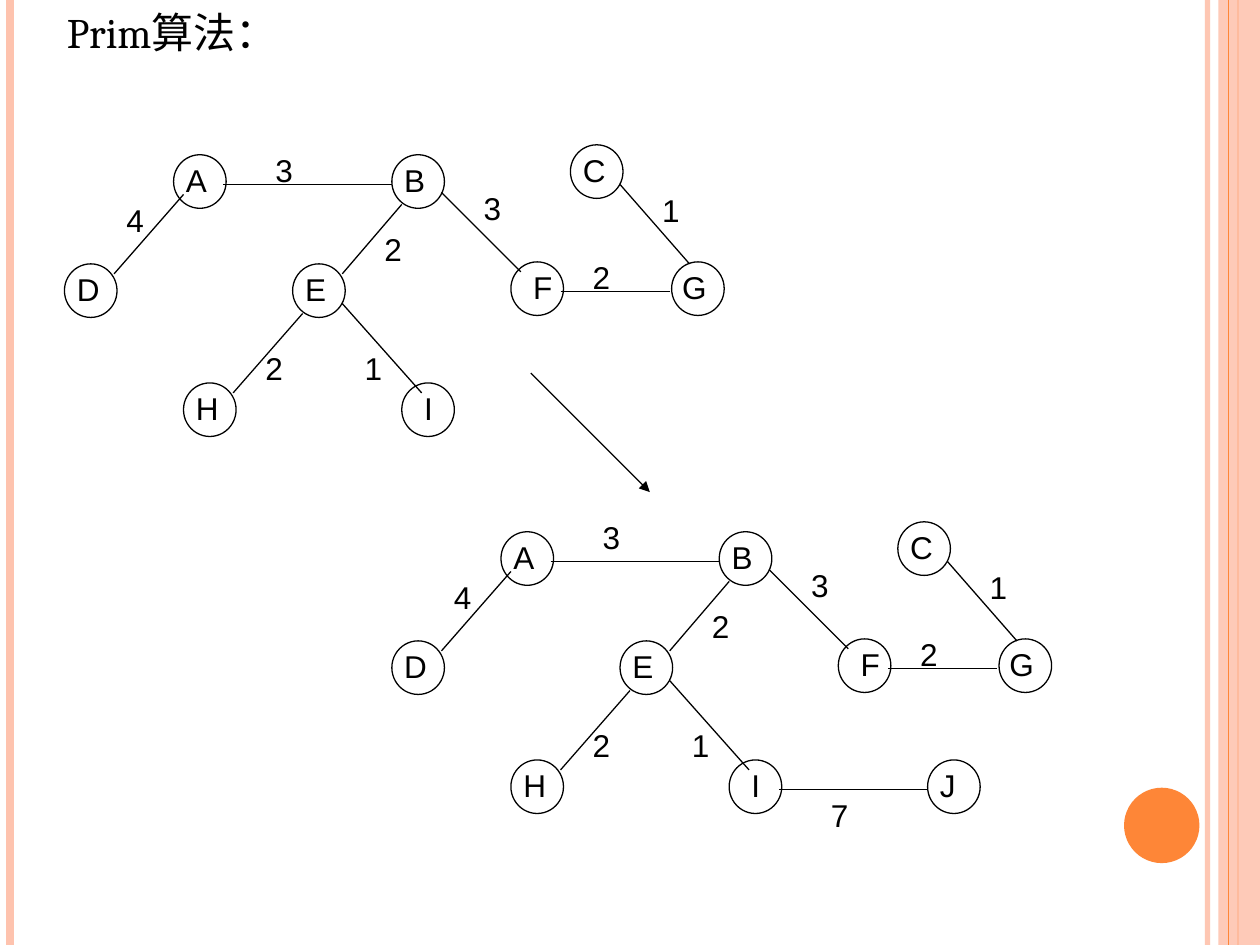
from lxml.etree import SubElement
from pptx import Presentation
from pptx.dml.color import RGBColor
from pptx.enum.shapes import MSO_CONNECTOR, MSO_SHAPE
from pptx.enum.text import MSO_ANCHOR, MSO_AUTO_SIZE, PP_ALIGN
from pptx.oxml.ns import qn
from pptx.util import Cm, Inches, Pt

BLACK = RGBColor(0x00, 0x00, 0x00)
PEACH = RGBColor(0xFE, 0xC3, 0xAE)
ORANGE = RGBColor(0xFE, 0x86, 0x37)

CELL = Cm(0.2)  # the slide is 127 cells wide
WIDTH, HEIGHT = Inches(10), Inches(7.5)
NODE_SIZE = (5.3, 5.4)
LABEL_HEIGHT = 5.1

# letter: column, row, shift of the letter, width of its box
NODES = {
    "A": (11, 1, 0, 7),
    "B": (33, 1, 0, 7),
    "C": (51, 0, 0, 7),
    "D": (0, 12, 0, 6),
    "E": (23, 12, 0, 8),
    "F": (45, 11.8, 1, 7),
    "G": (61.2, 11.8, -0.2, 5.4),
    "H": (12, 24, 0, 7),
    "I": (34, 24, 1, 7),
}
# weight: start, end, place of the weight, width of its box
EDGES = [
    ("4", (5, 13), (12, 5), (5, 5), 4),
    ("2", (34, 6), (28, 13), (31, 8), 5),
    ("2", (24, 17), (17, 25), (19, 20), 5),
    ("1", (28, 16), (36, 25), (29, 20), 5),
    ("3", (38, 4.8), (46, 12.8), (41, 3.8), 4),
    ("2", (50, 14.8), (61, 14.8), (52, 10.8), 6),
    ("1", (56, 4), (63, 12), (59, 4), 6),
]
TOP_EDGE = ((16, 4), (33, 4))


def set_alpha(fill, percent):
    color = fill._xPr.find(qn("a:solidFill"))[0]
    SubElement(color, qn("a:alpha"), val=str(percent * 1000))


def write(frame, text, font="Arial", size=18, color=BLACK):
    frame.word_wrap = True
    frame.vertical_anchor = MSO_ANCHOR.TOP
    para = frame.paragraphs[0]
    para.alignment = PP_ALIGN.LEFT
    span = para.add_run()
    span.text = text
    span.font.name = font
    span.font.size = Pt(size)
    span.font.color.rgb = color


class Sketch:
    """Draws on one page, in cells counted from a movable origin."""

    def __init__(self, page):
        self.page = page
        self.move_to(0, 0)

    def move_to(self, column, row, shapes=None):
        self.origin = (column, row)
        self.shapes = shapes or self.page.shapes

    def place(self, column, row):
        return (round((self.origin[0] + column) * CELL),
                round((self.origin[1] + row) * CELL))

    def line(self, start, end, color=BLACK, width=0.75, arrow=False, alpha=None):
        line = self.shapes.add_connector(
            MSO_CONNECTOR.STRAIGHT, *self.place(*start), *self.place(*end))
        line.line.color.rgb = color
        line.line.width = Pt(width)
        if alpha:
            set_alpha(line.line.fill, alpha)
        if arrow:
            SubElement(line.line._get_or_add_ln(), qn("a:tailEnd"), type="triangle")
        SubElement(line._element.spPr, qn("a:effectLst"))

    def shape(self, kind, at, size, fill=None, alpha=None):
        """Add a filled shape without outline, or an outlined one without fill."""
        shape = self.shapes.add_shape(
            kind, *self.place(*at), *(round(side * CELL) for side in size))
        shape.shadow.inherit = False
        if fill is None:
            shape.fill.background()
            shape.line.color.rgb = BLACK
            shape.line.width = Pt(0.75)
        else:
            shape.fill.solid()
            shape.fill.fore_color.rgb = fill
            shape.line.fill.background()
            if alpha:
                set_alpha(shape.fill, alpha)

    def label(self, text, at, width):
        box = self.shapes.add_textbox(
            *self.place(*at), round(width * CELL), round(LABEL_HEIGHT * CELL))
        write(box.text_frame, text)
        box.text_frame.auto_size = MSO_AUTO_SIZE.SHAPE_TO_FIT_TEXT

    def node(self, letter, column, row, shift=0, width=7):
        self.shape(MSO_SHAPE.OVAL, (column, row), NODE_SIZE)
        self.label(letter, (column + shift, row), width)

    def title(self, text):
        title = self.page.shapes.title
        title.left, title.top = round(WIDTH * 0.043), 0
        title.width, title.height = round(WIDTH * 0.9), round(HEIGHT * 0.893)
        title.text_frame.auto_size = MSO_AUTO_SIZE.NONE
        write(title.text_frame, text, font="Cambria", size=24)

    def tree(self, column, row):
        """Draw the spanning tree as a group and leave the origin at its corner."""
        self.move_to(column, row, self.page.shapes.add_group_shape().shapes)
        for letter, spot in NODES.items():
            self.node(letter, *spot)
        for weight, start, end, at, width in EDGES:
            self.line(start, end)
            self.label(weight, at, width)
        self.line(*TOP_EDGE)
        self.move_to(column, row)

    def side_bands(self):
        bottom = HEIGHT / CELL
        bars = [(121.7, PEACH, 3, 93), (1, PEACH, 4.5, None),
                (124.8, ORANGE, 1.5, None)]
        for column, color, width, alpha in bars:
            self.line((column, 0), (column, bottom), color, width, alpha=alpha)
        self.shape(MSO_SHAPE.RECTANGLE, (122.8, 0), (4.2, bottom), PEACH, 87)
        self.line((123.8, 0), (123.8, bottom), ORANGE)
        self.shape(MSO_SHAPE.OVAL, (113.3, 79.4), (7.6, 7.6), ORANGE)


def main():
    deck = Presentation()
    deck.slide_width, deck.slide_height = WIDTH, HEIGHT
    sketch = Sketch(deck.slides.add_slide(deck.slide_layouts[5]))
    sketch.side_bands()
    sketch.title("Prim算法：")

    sketch.tree(6.5, 14.6)
    sketch.label("3", (20, 0), 9)

    sketch.tree(39.5, 52.6)
    sketch.label("3", (20, -1), 8)
    sketch.node("J", 54, 24)
    sketch.line((39, 27), (54, 27))
    sketch.label("7", (43, 27), 7)

    sketch.move_to(0, 0)
    sketch.line((53.5, 37.6), (65.5, 49.6), arrow=True)
    deck.save("out.pptx")


if __name__ == "__main__":
    main()
